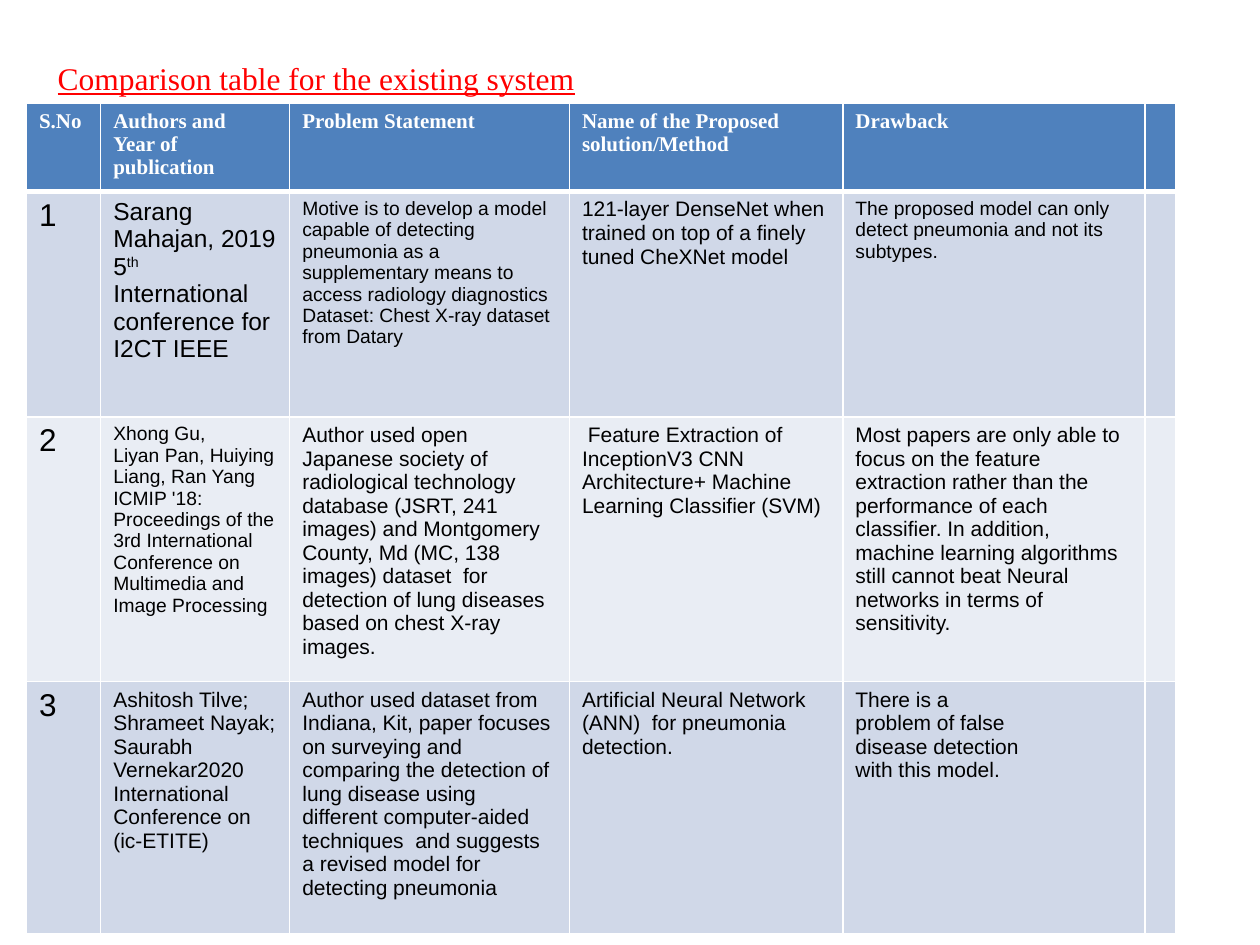
from lxml.etree import SubElement
from pptx import Presentation
from pptx.dml.color import RGBColor
from pptx.oxml.ns import qn
from pptx.util import Inches, Pt

RED = RGBColor(0xFF, 0x00, 0x00)
WHITE = RGBColor(0xFF, 0xFF, 0xFF)
BLACK = RGBColor(0x00, 0x00, 0x00)
HEADER_BLUE = RGBColor(0x4F, 0x81, 0xBD)
BAND_DARK = RGBColor(0xD0, 0xD8, 0xE8)
BAND_LIGHT = RGBColor(0xE9, 0xED, 0xF4)

COLUMN_WIDTHS = [0.59, 1.5, 2.22, 2.17, 2.4, 0.23]
ROW_HEIGHTS = [0.62, 1.79, 2.1, 2]

HEADINGS = [
    "S.No",
    "Authors and  Year of publication",
    "Problem Statement",
    "Name of the Proposed solution/Method",
    "Drawback",
]
STUDIES = [
    [
        (18, ["1"]),
        (14, [["Sarang Mahajan, 2019 5", "^th", " International conference for I2CT IEEE"]]),
        (11, [
            "Motive is to develop a model capable of detecting pneumonia as a "
            "supplementary means to access radiology diagnostics",
            "Dataset: Chest X-ray dataset from Datary",
        ]),
        (12, ["121-layer DenseNet when trained on top of a finely tuned CheXNet model"]),
        (11, ["The proposed model can only detect pneumonia and not its subtypes."]),
    ],
    [
        (18, ["2"]),
        (11, [
            "Xhong Gu,",
            "Liyan Pan, Huiying",
            "Liang, Ran Yang",
            "ICMIP '18: Proceedings of the 3rd International Conference on "
            "Multimedia and Image Processing",
        ]),
        (12, [
            "Author used open Japanese society of radiological technology database "
            "(JSRT, 241 images) and Montgomery County, Md (MC, 138 images) dataset  for "
            "detection of lung diseases based on chest X-ray images."
        ]),
        (12, [
            " Feature Extraction of InceptionV3 CNN Architecture+ Machine Learning "
            "Classifier (SVM)"
        ]),
        (12, [
            "Most papers are only able to focus on the feature extraction rather than "
            "the performance of each classifier. In addition, machine learning algorithms "
            "still cannot beat Neural networks in terms of sensitivity."
        ]),
    ],
    [
        (18, ["3"]),
        (12, [
            "Ashitosh Tilve; Shrameet Nayak; Saurabh Vernekar2020 International "
            "Conference on (ic-ETITE)"
        ]),
        (12, [
            "Author used dataset from Indiana, Kit, paper focuses on surveying and "
            "comparing the detection of lung disease using different computer-aided "
            "techniques  and suggests a revised model for detecting pneumonia"
        ]),
        (12, ["Artificial Neural Network (ANN)  for pneumonia detection."]),
        (12, ["There is a", "problem of false", "disease detection", "with this model."]),
    ],
]


class SlideBuilder:
    heading_font = "Times New Roman"
    body_font = "Arial"

    def __init__(self, page):
        self.page = page

    def add_text(self, frame, paragraphs, name, size, color, bold=False, underline=False):
        for index, content in enumerate(paragraphs):
            para = frame.add_paragraph() if index else frame.paragraphs[0]
            font = para.font
            font.name, font.size, font.bold = name, Pt(size), bold
            font.underline = underline
            font.color.rgb = color
            for piece in [content] if isinstance(content, str) else content:
                span = para.add_run()
                span.text = piece.removeprefix("^")
                if piece.startswith("^"):
                    span._r.get_or_add_rPr().set("baseline", "30000")

    def title(self, text, left, top, width, height):
        box = self.page.shapes.add_textbox(
            Inches(left), Inches(top), Inches(width), Inches(height))
        box.text_frame.word_wrap = True
        self.add_text(box.text_frame, [text], self.heading_font, 18, RED, underline=True)

    def border(self, cell, top, bottom):
        properties = cell._tc.get_or_add_tcPr()
        for side, points in (("L", 1), ("R", 1), ("T", top), ("B", bottom)):
            line = SubElement(properties, qn(f"a:ln{side}"), w=str(Pt(points)))
            fill = SubElement(line, qn("a:solidFill"))
            SubElement(fill, qn("a:srgbClr"), val=str(WHITE))

    def table(self, left, top, headings, studies):
        table = self.page.shapes.add_table(
            len(ROW_HEIGHTS), len(COLUMN_WIDTHS), Inches(left), Inches(top),
            Inches(sum(COLUMN_WIDTHS)), Inches(sum(ROW_HEIGHTS))).table
        for column, width in zip(table.columns, COLUMN_WIDTHS):
            column.width = Inches(width)
        for index, (row, height) in enumerate(zip(table.rows, ROW_HEIGHTS)):
            row.height = Inches(height)
            band = BAND_DARK if index % 2 else BAND_LIGHT
            for cell in row.cells:
                self.border(cell, 3 if index == 1 else 1, 3 if index == 0 else 1)
                cell.fill.solid()
                cell.fill.fore_color.rgb = band if index else HEADER_BLUE
        for column, heading in enumerate(headings):
            self.add_text(table.cell(0, column).text_frame, [heading],
                          self.heading_font, 12, WHITE, bold=True)
        for row, study in enumerate(studies, 1):
            for column, (size, paragraphs) in enumerate(study):
                self.add_text(table.cell(row, column).text_frame, paragraphs,
                              self.body_font, size, BLACK)


def main():
    deck = Presentation()
    deck.slide_width, deck.slide_height = Inches(10), Inches(7.5)
    builder = SlideBuilder(deck.slides.add_slide(deck.slide_layouts[6]))
    builder.title("Comparison table for the existing system", 0.36, 0.42, 6.81, 0.4)
    builder.table(0.21, 0.82, HEADINGS, STUDIES)
    deck.save("out.pptx")


if __name__ == "__main__":
    main()
